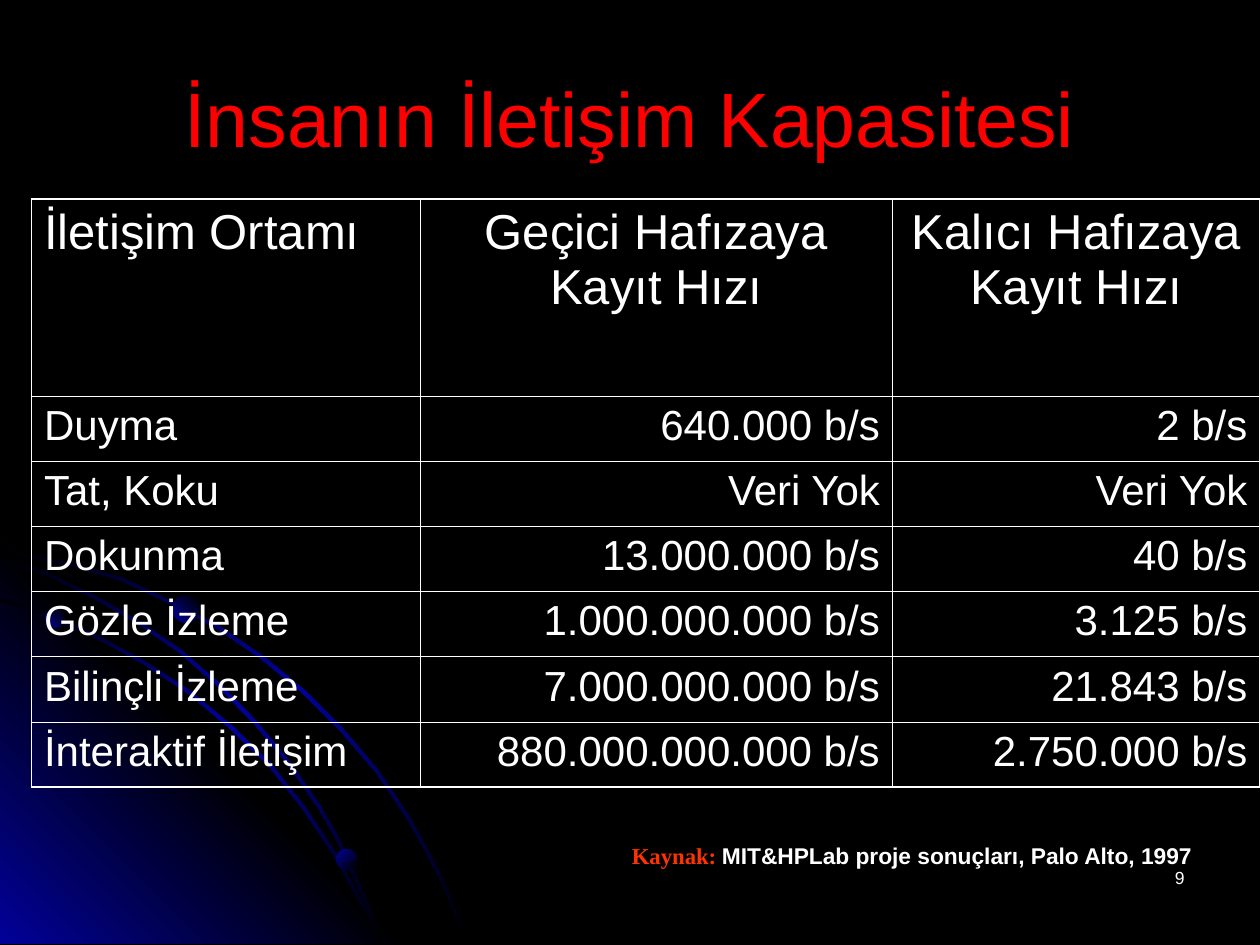
from dataclasses import dataclass
from typing import Any, NamedTuple

from lxml import etree
from pptx import Presentation
from pptx.dml.color import RGBColor
from pptx.enum import shapes, text
from pptx.oxml.ns import qn
from pptx.util import Pt


@dataclass(frozen=True)
class Theme:
    black: str = "000000"
    white: str = "FFFFFF"
    red: str = "FF0000"
    orange: str = "FF3300"
    blue: str = "010199"
    sans: str = "Arial"
    serif: str = "Times New Roman"
    title: float = 44
    header: float = 28
    body: float = 24
    source: float = 13
    number: float = 10
    outer_line: float = 1.08
    inner_line: float = 0.45


class Box(NamedTuple):
    left: float
    top: float
    width: float
    height: float


class Orb(NamedTuple):
    left: float
    top: float
    size: float
    angle: int


class Run(NamedTuple):
    words: str
    size: float
    color: str
    font: str
    bold: bool = False


Point = tuple[float, float]

THEME = Theme()
ALIGN = text.PP_ALIGN
SLIDE_WIDTH, SLIDE_HEIGHT = 720, 540
BAND_SHIFT = 1.4

OUTER_ARC: list[Point] = [
    (0, 313.2), (20.2, 317.5), (41, 321.8), (70.6, 330.5), (97.9, 343.4),
    (125.3, 357.8), (150.5, 375.1), (174.2, 394.6), (195.8, 416.2), (216, 439.9),
    (234, 466.6), (244.1, 484.6), (253.4, 502.6), (260.6, 520.6), (267.8, 539.3),
]
LOWER_ARC: list[Point] = [
    (0, 342), (29.5, 351.4), (56.9, 363.6), (84.2, 378.7), (109.4, 395.3),
    (132.5, 414.7), (154.8, 436.3), (174.2, 460.8), (191.5, 486.7),
    (205.9, 512.6), (213.1, 525.6), (218.2, 539.3),
]
MIDDLE_ARC: list[Point] = [
    (0, 318.2), (28.1, 327.6), (54.7, 340.6), (79.9, 355), (103.7, 371.5),
    (126, 391), (146.9, 412.6), (164.9, 434.2), (182.9, 460.1), (193.7, 478.8),
    (203, 499), (211.7, 518.4), (218.2, 539.3),
]
CORNER_GLOW: list[Point] = [(231.8, 539.3), (0, 539.3), (0, 307.4)]
ORBS = [Orb(25.9, 347.8, 10.8, 45), Orb(192.2, 485.3, 11.5, 315), Orb(98.6, 340.6, 15.1, 45)]

COLUMN_WIDTHS = [222, 270, 210]
HEADER_HEIGHT, ROW_HEIGHT = 112.4, 37.3
CAPACITIES = [
    ("İletişim Ortamı", "Geçici Hafızaya Kayıt Hızı", "Kalıcı Hafızaya Kayıt Hızı"),
    ("Duyma", "640.000 b/s", "2 b/s"),
    ("Tat, Koku", "Veri Yok", "Veri Yok"),
    ("Dokunma", "13.000.000 b/s", "40 b/s"),
    ("Gözle İzleme", "1.000.000.000 b/s", "3.125 b/s"),
    ("Bilinçli İzleme", "7.000.000.000 b/s", "21.843 b/s"),
    ("İnteraktif İletişim", "880.000.000.000 b/s", "2.750.000 b/s"),
]


def set_all(target: Any, values: dict[str, Any]) -> None:
    for name, value in values.items():
        setattr(target, name, value)


def place(box: Box) -> list[int]:
    return [Pt(length) for length in box]


def write(frame: Any, runs: list[Run], align: Any) -> None:
    paragraph = frame.paragraphs[0]
    paragraph.alignment = align
    for part in runs:
        run = paragraph.add_run()
        run.text = part.words
        set_all(run.font, {"name": part.font, "size": Pt(part.size), "bold": part.bold})
        run.font.color.rgb = RGBColor.from_string(part.color)


def shade(shape: Any, colors: list[str], angle: int) -> None:
    """Fill with evenly spaced colours; the angle runs counter-clockwise."""
    shape.shadow.inherit = False
    shape.line.fill.background()
    shape.fill.gradient()
    shape.fill.gradient_angle = angle
    stops = next(shape._element.spPr.iter(qn("a:gsLst")))
    for stop in list(stops):
        stops.remove(stop)
    for index, color in enumerate(colors):
        position = str(100000 * index // (len(colors) - 1))
        stop = etree.SubElement(stops, qn("a:gs"), pos=position)
        etree.SubElement(stop, qn("a:srgbClr"), val=color)


def add_outline(slide: Any, points: list[Point]) -> Any:
    start, *rest = [(Pt(x), Pt(y)) for x, y in points]
    builder = slide.shapes.build_freeform(*start)
    builder.add_line_segments(rest, close=True)
    return builder.convert_to_shape()


def add_arc(slide: Any, edge: list[Point]) -> None:
    """Draw a thin band between the edge and the same edge moved down and left."""
    bottom = edge[-1][1]
    inner = [(max(0, x - BAND_SHIFT), min(bottom, y + BAND_SHIFT)) for x, y in edge]
    shade(add_outline(slide, edge + inner[::-1]), [THEME.black, THEME.blue, THEME.black], 315)


def add_orb(slide: Any, orb: Orb) -> None:
    box = Box(orb.left, orb.top, orb.size, orb.size)
    oval = slide.shapes.add_shape(shapes.MSO_SHAPE.OVAL, *place(box))
    shade(oval, [THEME.blue, THEME.black], orb.angle)


def add_backdrop(slide: Any) -> None:
    fill = slide.background.fill
    fill.solid()
    fill.fore_color.rgb = RGBColor.from_string(THEME.black)
    add_arc(slide, OUTER_ARC)
    shade(add_outline(slide, CORNER_GLOW), [THEME.blue, THEME.black, THEME.blue], 45)
    add_arc(slide, LOWER_ARC)
    add_arc(slide, MIDDLE_ARC)
    for orb in ORBS:
        add_orb(slide, orb)


def add_title(slide: Any) -> None:
    title = slide.shapes.title
    set_all(title, dict(zip(Box._fields, place(Box(36, 21.6, 648, 90)))))
    title.text_frame.vertical_anchor = text.MSO_ANCHOR.MIDDLE
    run = Run("İnsanın İletişim Kapasitesi", THEME.title, THEME.red, THEME.sans)
    write(title.text_frame, [run], ALIGN.CENTER)


def add_label(slide: Any, box: Box, runs: list[Run], align: Any, anchor: Any) -> None:
    frame = slide.shapes.add_textbox(*place(box)).text_frame
    set_all(frame, {"word_wrap": True, "vertical_anchor": anchor})
    write(frame, runs, align)


def add_borders(cell: Any, outer_sides: dict[str, bool]) -> None:
    properties = cell._tc.get_or_add_tcPr()
    for side, is_outer in outer_sides.items():
        width = THEME.outer_line if is_outer else THEME.inner_line
        line = etree.SubElement(properties, qn(f"a:ln{side}"), w=str(Pt(width)))
        fill = etree.SubElement(line, qn("a:solidFill"))
        etree.SubElement(fill, qn("a:srgbClr"), val=THEME.white)


def add_capacity_table(slide: Any) -> None:
    last_row, last_column = len(CAPACITIES) - 1, len(COLUMN_WIDTHS) - 1
    box = Box(18, 113.8, sum(COLUMN_WIDTHS), HEADER_HEIGHT + last_row * ROW_HEIGHT)
    table = slide.shapes.add_table(last_row + 1, last_column + 1, *place(box)).table
    set_all(table, {"first_row": False, "horz_banding": False})
    for column, width in zip(table.columns, COLUMN_WIDTHS):
        column.width = Pt(width)
    for r, values in enumerate(CAPACITIES):
        table.rows[r].height = Pt(ROW_HEIGHT if r else HEADER_HEIGHT)
        for c, value in enumerate(values):
            cell = table.cell(r, c)
            add_borders(cell, {"L": c == 0, "R": c == last_column, "T": r == 0, "B": r == last_row})
            cell.fill.background()
            align = ALIGN.LEFT if c == 0 else ALIGN.RIGHT if r else ALIGN.CENTER
            size = THEME.body if r else THEME.header
            write(cell.text_frame, [Run(value, size, THEME.white, THEME.sans)], align)


def main() -> None:
    deck = Presentation()
    set_all(deck, {"slide_width": Pt(SLIDE_WIDTH), "slide_height": Pt(SLIDE_HEIGHT)})
    slide = deck.slides.add_slide(deck.slide_layouts[5])
    add_backdrop(slide)
    add_title(slide)
    add_capacity_table(slide)
    add_label(slide, Box(516, 492, 168, 36),
              [Run("9", THEME.number, THEME.white, THEME.sans)],
              ALIGN.RIGHT, text.MSO_ANCHOR.TOP)
    add_label(slide, Box(354, 480, 366, 18), [
        Run("Kaynak: ", THEME.source, THEME.orange, THEME.serif, True),
        Run("MIT&HPLab proje sonuçları, Palo Alto, 1997", THEME.source, THEME.white, THEME.sans, True),
    ], ALIGN.LEFT, text.MSO_ANCHOR.MIDDLE)
    deck.save("out.pptx")


if __name__ == "__main__":
    main()
